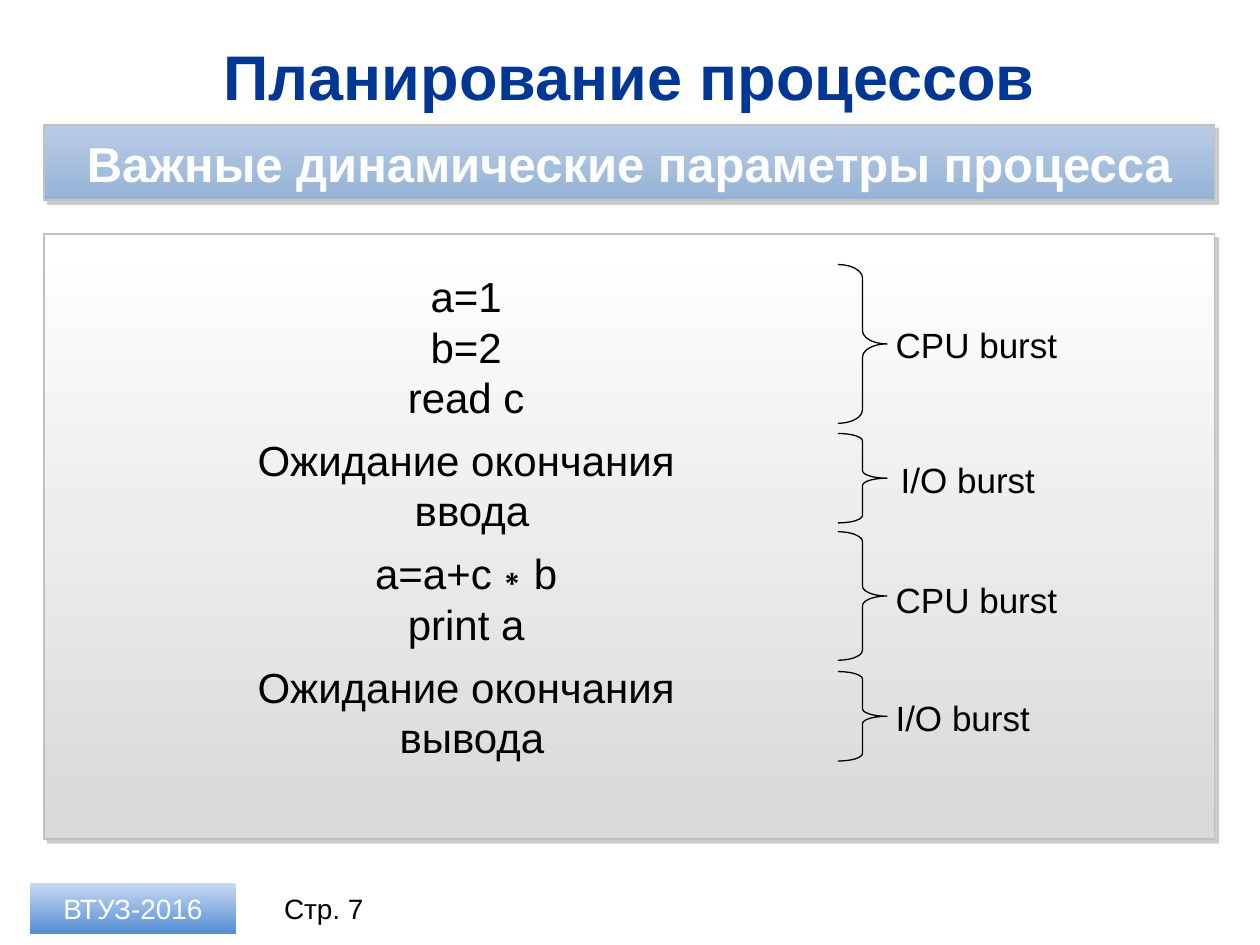
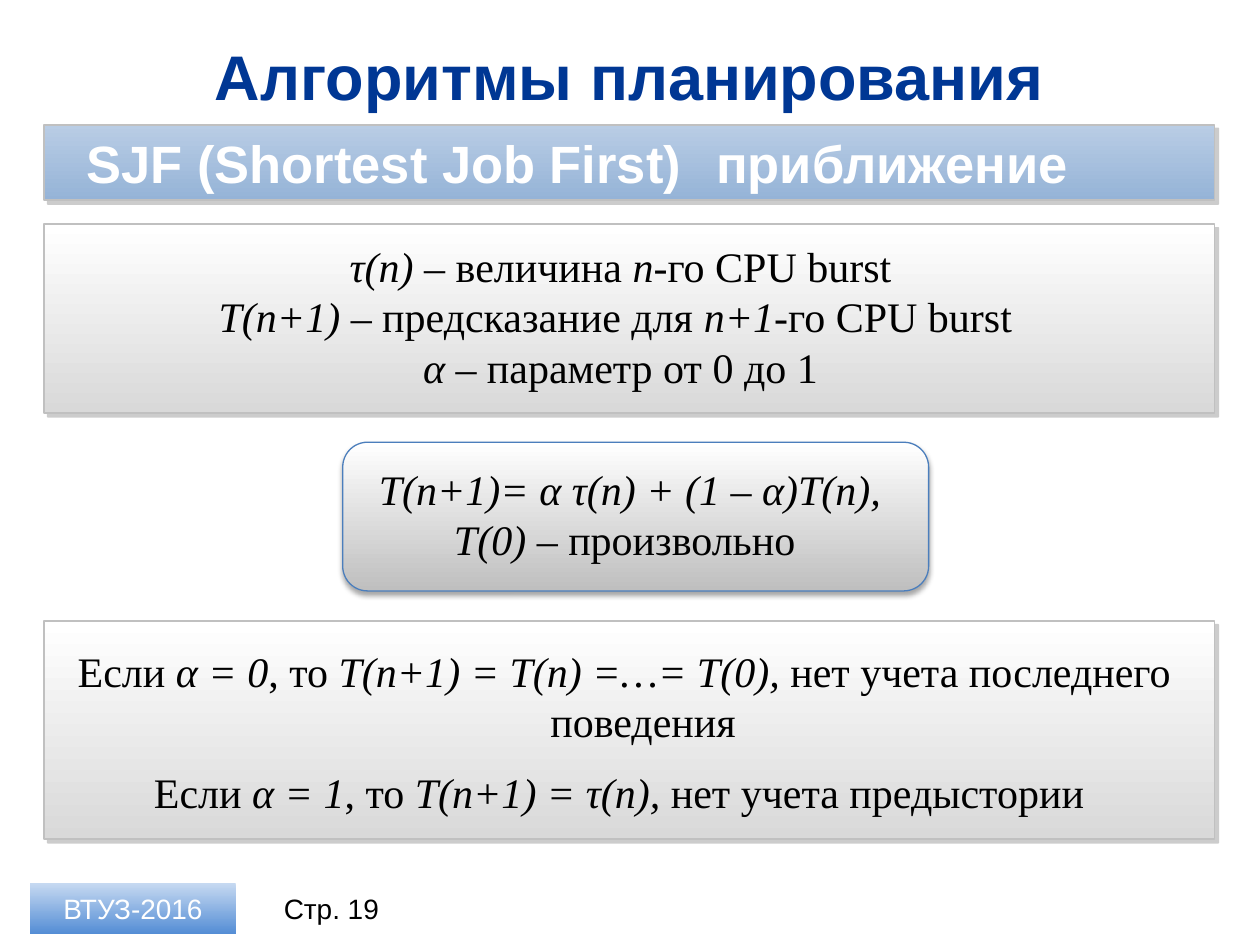
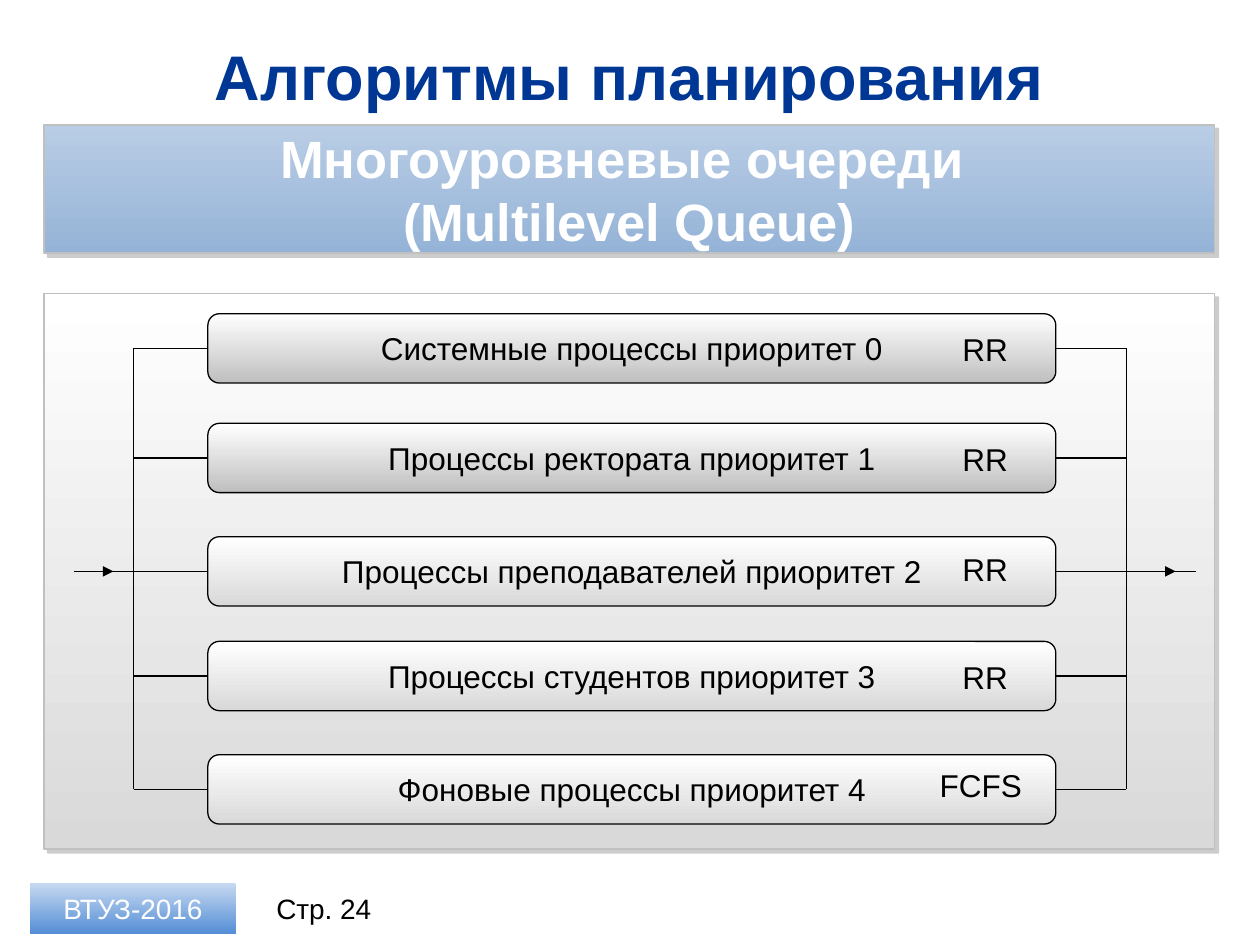
from dataclasses import dataclass

from lxml import etree
from pptx import Presentation
from pptx import util as u
from pptx.dml.color import RGBColor
from pptx.enum import shapes, text
from pptx.oxml.ns import qn


@dataclass(frozen=True)
class Theme:
    # Typefaces
    sans: str = "Arial"
    serif: str = "Times New Roman"
    # Type sizes
    title_size: int = 36
    band_size: int = 30
    body_size: int = 24
    label_size: int = 20
    lane_size: int = 18
    footer_size: int = 16
    # Colours; pairs run from top to bottom
    ink: str = "000000"
    paper: str = "FFFFFF"
    heading: str = "003794"
    edge: str = "C0C0C0"
    formula_edge: str = "4B7EBC"
    band: tuple = ("B9CDE5", "95B3D7")
    panel: tuple = ("FFFFFF", "D9D9D9")
    strong: tuple = ("FFFFFF", "BFBFBF")
    badge: tuple = ("C6D9F1", "558ED5")
    # Shadows: colour, opacity %, blur pt, distance pt, angle
    hard_shadow: tuple = ("808080", 40, 0, 3, 45)
    soft_shadow: tuple = ("000000", 35, 3.1, 1.8, 90)


THEME = Theme()
WIDTH, HEIGHT = u.Inches(10), u.Inches(7.5)
COLUMN, ROW = WIDTH / 100, HEIGHT / 75

# Shared edges, in columns and rows
LEFT, SPAN = 3.5, 92.9
BAND_TOP, BAND_HEIGHT = 9.9, 6
FOOTER_TOP, FOOTER_HEIGHT = 70.1, 4

LEFT_SIDE, RIGHT_SIDE = 1, 3
CENTER = text.PP_ALIGN.CENTER
MIDDLE = text.MSO_ANCHOR.MIDDLE


def place(left, top, width, height):
    """Turn grid columns and rows into slide lengths."""
    return [round(v) for v in (left * COLUMN, top * ROW, width * COLUMN, height * ROW)]


def apply(target, formats):
    for name, value in formats.items():
        setattr(target, name, value)


def color(value):
    return RGBColor.from_string(value)


# Text

def write(frame, paragraphs, size, ink=THEME.ink, font=THEME.sans, bold=False,
          align=CENTER, gaps=None, hanging=0):
    """Fill a frame; *asterisks* mark italics, gaps map a paragraph to space before."""
    for number, content in enumerate(paragraphs):
        paragraph = frame.paragraphs[0] if number == 0 else frame.add_paragraph()
        paragraph.alignment = align
        if gaps and number in gaps:
            paragraph.space_before = u.Pt(gaps[number])
        if hanging:
            properties = paragraph._p.get_or_add_pPr()
            properties.set("marL", str(u.Inches(hanging)))
            properties.set("indent", str(-u.Inches(hanging)))
        for part, words in enumerate(content.split("*")):
            for row, line in enumerate(words.split("\n")):
                if row:
                    paragraph.add_line_break()
                if line:
                    run = paragraph.add_run()
                    run.text = line
                    apply(run.font, {"name": font, "size": u.Pt(size), "bold": bold,
                                     "italic": part % 2 == 1})
                    run.font.color.rgb = color(ink)


def add_text(slide, area, paragraphs, size, anchor=text.MSO_ANCHOR.TOP, **style):
    frame = slide.shapes.add_textbox(*place(*area)).text_frame
    apply(frame, {"word_wrap": True, "vertical_anchor": anchor})
    write(frame, paragraphs, size, **style)


# Shapes

def cast_shadow(shape, shadow):
    tint, opacity, blur, distance, angle = shadow
    effects = shape._element.spPr.find(qn("a:effectLst"))
    outer = etree.SubElement(effects, qn("a:outerShdw"), blurRad=str(u.Pt(blur)),
                             dist=str(u.Pt(distance)), dir=str(angle * 60000),
                             algn="ctr", rotWithShape="0")
    tone = etree.SubElement(outer, qn("a:srgbClr"), val=tint)
    etree.SubElement(tone, qn("a:alpha"), val=str(opacity * 1000))


def add_block(slide, area, shades=None, edge=None, weight=0.75, shadow=None,
              kind=shapes.MSO_SHAPE.RECTANGLE):
    block = slide.shapes.add_shape(kind, *place(*area))
    block.shadow.inherit = False
    if shades:
        block.fill.gradient()
        block.fill.gradient_angle = 270
        for stop, shade in zip(block.fill.gradient_stops, shades):
            stop.color.rgb = color(shade)
    else:
        block.fill.background()
    if edge:
        block.line.color.rgb = color(edge)
        block.line.width = u.Pt(weight)
    else:
        block.line.fill.background()
    if shadow:
        cast_shadow(block, shadow)
    apply(block.text_frame, {"vertical_anchor": MIDDLE, "word_wrap": True})
    return block


def add_panel(slide, top, height, shades=THEME.panel):
    return add_block(slide, (LEFT, top, SPAN, height), shades, THEME.edge, 1,
                     THEME.hard_shadow)


def add_band(slide, height=BAND_HEIGHT, heading=None, size=THEME.band_size):
    band = add_panel(slide, BAND_TOP, height, THEME.band)
    if heading:
        side, rim = u.Inches(0.24), u.Inches(0.04)
        apply(band.text_frame, {"margin_left": side, "margin_right": side,
                                "margin_top": rim, "margin_bottom": rim})
        write(band.text_frame, [heading], size, THEME.paper, bold=True)


def add_wire(slide, start, end, joint=None, arrow=False):
    """Draw a line; joint is the (shape, side) where it begins."""
    wire = slide.shapes.add_connector(shapes.MSO_CONNECTOR.STRAIGHT,
                                      *place(*start, *end))
    if joint:
        wire.begin_connect(*joint)
    wire.line.color.rgb = color(THEME.ink)
    wire.line.width = u.Pt(0.75)
    if arrow:
        etree.SubElement(wire.line._get_or_add_ln(), qn("a:tailEnd"), type="triangle")
    etree.SubElement(wire._element.spPr, qn("a:effectLst"))


def start_slide(deck, heading, page, page_left=20.3):
    """Add a slide with its title, footer badge and page number."""
    slide = deck.slides.add_slide(deck.slide_layouts[5])
    title = slide.shapes.title
    sides = ("left", "top", "width", "height")
    apply(title, dict(zip(sides, place(LEFT, 2.6, SPAN, 6.8))))
    apply(title.text_frame, {"vertical_anchor": MIDDLE, "word_wrap": True,
                             "auto_size": text.MSO_AUTO_SIZE.NONE})
    write(title.text_frame, [heading], THEME.title_size, THEME.heading, bold=True)

    add_text(slide, (page_left, FOOTER_TOP, 10.8, FOOTER_HEIGHT), [f"Стр. {page}"],
             THEME.footer_size, MIDDLE)
    badge = add_block(slide, (2.4, FOOTER_TOP, 16.3, FOOTER_HEIGHT), THEME.badge)
    write(badge.text_frame, ["ВТУЗ-2016"], THEME.footer_size, THEME.paper)
    return slide


# Slides

def build_bursts(deck):
    slide = start_slide(deck, "Планирование процессов", 7)
    add_band(slide, heading="Важные динамические параметры процесса", size=28)
    add_panel(slide, 18.6, 48)

    program = ["a=1", "b=2", "read c", "Ожидание окончания\n ввода",
               "a=a+c∗b", "print a", "Ожидание окончания\n вывода"]
    add_text(slide, (6.7, 21, 60.6, 41), program, THEME.body_size,
             gaps={3: 7.2, 4: 7.2, 6: 7.2})

    # Brace top, height and curl, then the label and its corner
    bursts = [
        (21, 12.6, 0.27, "CPU burst", 70.1, 25.2),
        (34.4, 7.1, 0.15, "I/O burst", 70.5, 35.9),
        (42.2, 10.2, 0.2, "CPU burst", 70.1, 45.4),
        (53.3, 7.1, 0.15, "I/O burst", 70.1, 54.8),
    ]
    for top, height, curl, label, label_left, label_top in bursts:
        brace = add_block(slide, (66.5, top, 3.9, height), edge=THEME.ink,
                          kind=shapes.MSO_SHAPE.RIGHT_BRACE)
        brace.adjustments[0] = curl
        add_text(slide, (label_left, label_top, 17.3, 4.4), [label],
                 THEME.label_size, align=text.PP_ALIGN.LEFT)


def build_prediction(deck):
    slide = start_slide(deck, "Алгоритмы планирования", 19, page_left=20.9)
    add_band(slide)
    for left, width, words in [(5.9, 50.4, "SJF (Shortest Job First)"),
                               (54.7, 37.8, " приближение")]:
        add_text(slide, (left, BAND_TOP, width, 6.1), [words], THEME.band_size,
                 ink=THEME.paper, bold=True, align=text.PP_ALIGN.LEFT)

    # Definitions, formula and limiting cases
    add_panel(slide, 17.8, 15)
    add_block(slide, (27.2, 35.1, 46.5, 11.8), THEME.strong, THEME.formula_edge,
              shadow=THEME.soft_shadow, kind=shapes.MSO_SHAPE.ROUNDED_RECTANGLE)
    add_panel(slide, 49.3, 17.3)
    math_style = {"size": THEME.body_size, "font": THEME.serif}
    add_text(slide, (13.8, 18.6, 70.9, 13.1), [
        "*τ(n)* – величина *n*-го CPU burst",
        "*T(n+1)* – предсказание для *n+1*-го CPU burst ",
        "*α* – параметр от 0 до 1"], **math_style)
    add_text(slide, (25, 36.3, 50, 9.1), [
        "*T(n+1)= α τ(n) + (1 – α)T(n),*",
        "*T(0)* – произвольно "], hanging=0.38, **math_style)
    add_text(slide, (3.5, 50.7, 92.1, 15.1), [
        "Если *α = 0*, то *T(n+1) = T(n) =…= T(0), *нет учета последнего поведения ",
        "Если *α = 1*, то *T(n+1) = τ(n), *нет учета предыстории "],
        gaps={1: 12}, hanging=0.38, **math_style)


def build_queues(deck):
    slide = start_slide(deck, "Алгоритмы планирования", 24)
    add_band(slide, 10.2, "Многоуровневые очереди \n(Multilevel Queue)")
    add_panel(slide, 23.3, 44.1)

    lane_left, lane_width, lane_height = 16.5, 67.3, 5.5
    entry, leave = 10.6, 89.4
    # Lane top, queue, shades, then the discipline with its corner and width
    lanes = [
        (24.9, "Системные процессы", THEME.strong, "RR", 75.4, 25.7, 6.1),
        (33.6, "Процессы ректората", THEME.strong, "RR", 75.4, 34.4, 6.1),
        (42.6, "Процессы преподавателей", THEME.panel, "RR", 75.4, 43.2, 6.1),
        (50.9, "Процессы студентов", THEME.panel, "RR", 75.4, 51.7, 6.1),
        (59.9, "Фоновые процессы", THEME.panel, "FCFS", 73.6, 60.3, 9.4),
    ]
    levels = [lane[0] + lane_height / 2 for lane in lanes]
    for priority, lane in enumerate(lanes):
        top, queue, shades, discipline, tag_left, tag_top, tag_width = lane
        level = levels[priority]
        box = add_block(slide, (lane_left, top, lane_width, lane_height), shades,
                        THEME.ink, kind=shapes.MSO_SHAPE.ROUNDED_RECTANGLE)
        box.text_frame.word_wrap = False
        write(box.text_frame, [f"{queue} приоритет {priority}"], THEME.lane_size)
        add_wire(slide, (lane_left, level), (entry, level), (box, LEFT_SIDE))
        add_wire(slide, (lane_left + lane_width, level), (leave, level),
                 (box, RIGHT_SIDE))
        add_text(slide, (tag_left, tag_top, tag_width, 4), [discipline],
                 THEME.lane_size, align=text.PP_ALIGN.LEFT)

    # Common rails with the way in and the way out
    middle = levels[2]
    for rail, outer, arrow_from, arrow_to in [(entry, 5.9, 7.1, 9),
                                              (leave, 94.9, 91.3, 93.3)]:
        add_wire(slide, (rail, levels[0]), (rail, levels[-1]))
        add_wire(slide, (rail, middle), (outer, middle))
        add_wire(slide, (arrow_from, middle), (arrow_to, middle), arrow=True)


def main():
    deck = Presentation()
    apply(deck, {"slide_width": WIDTH, "slide_height": HEIGHT})
    build_bursts(deck)
    build_prediction(deck)
    build_queues(deck)
    deck.save("out.pptx")


if __name__ == "__main__":
    main()
